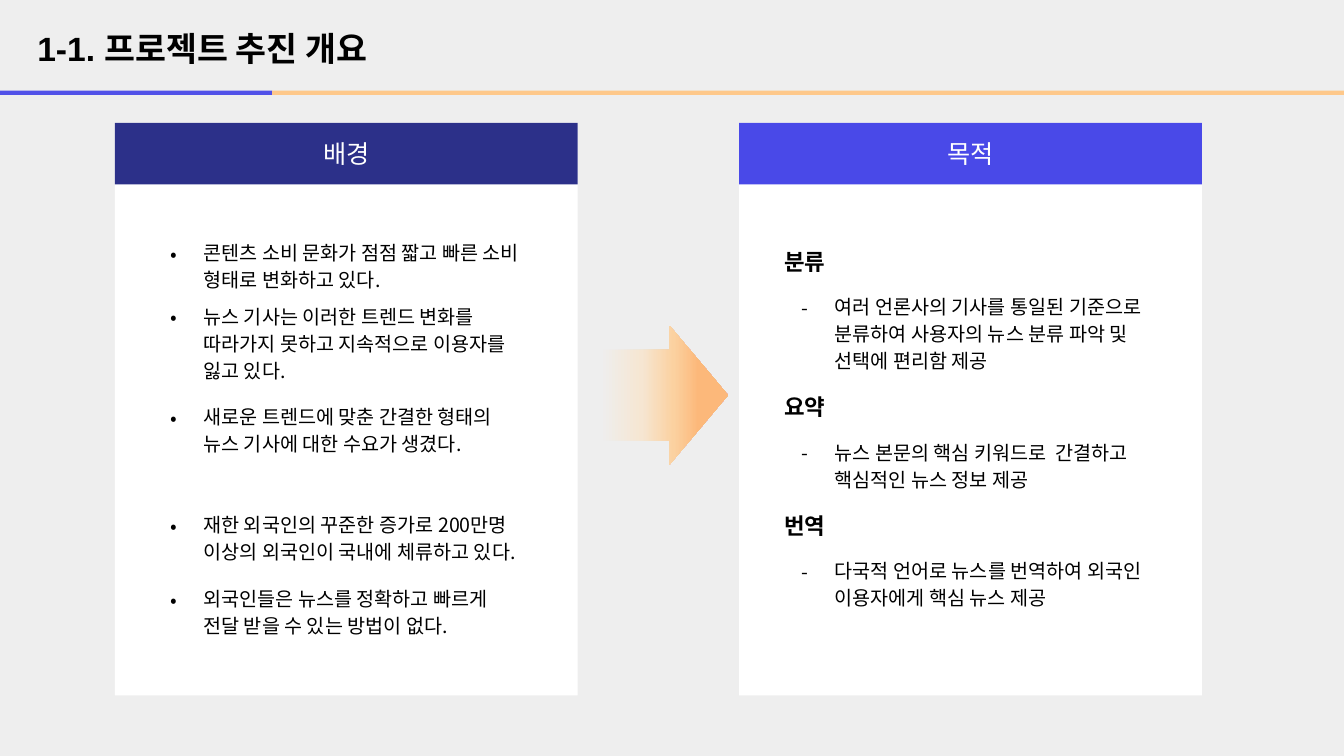
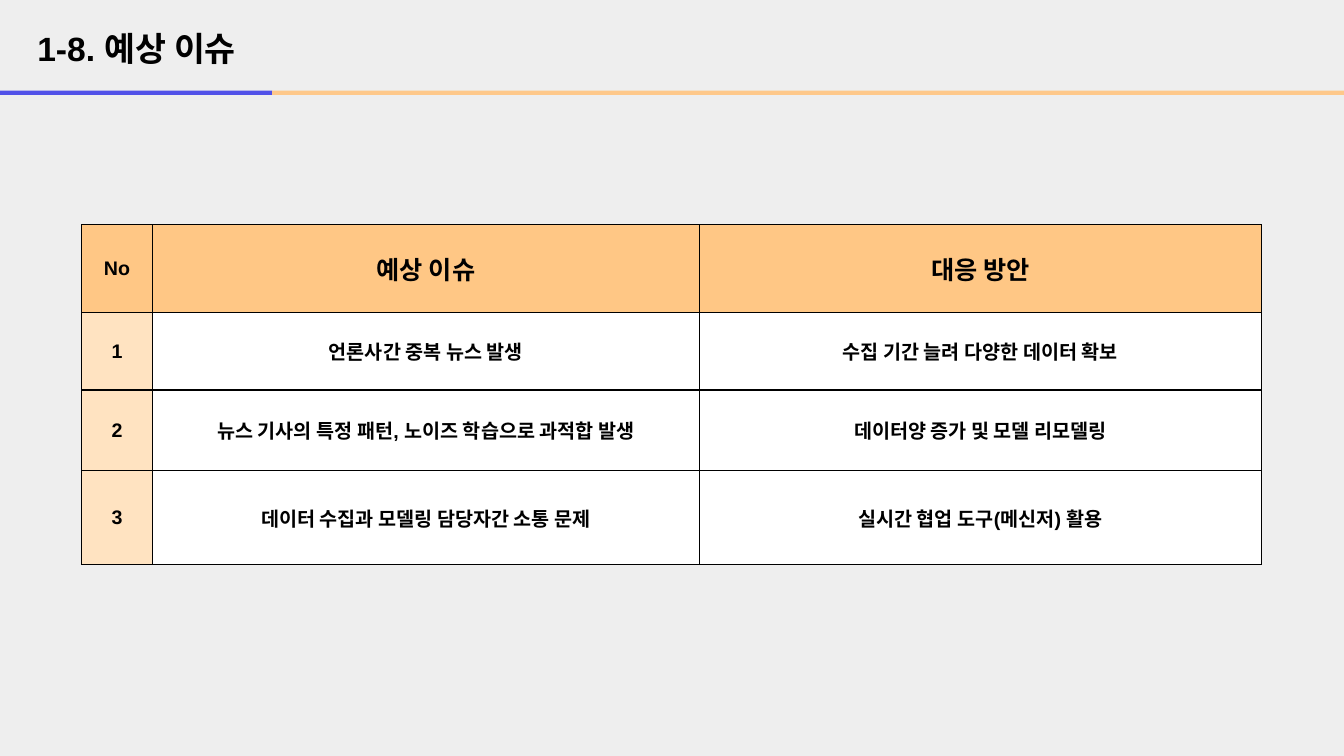
"""Build a two-slide project overview: background and goals, then expected issues."""
from lxml import etree
from pptx import Presentation
from pptx import util as u
from pptx.dml.color import RGBColor
from pptx.enum import shapes, text
from pptx.oxml.ns import qn

BLACK = RGBColor(0x00, 0x00, 0x00)
WHITE = RGBColor(0xFF, 0xFF, 0xFF)
GREY = RGBColor(0xEE, 0xEE, 0xEE)
NAVY = RGBColor(0x2C, 0x30, 0x89)
BLUE = RGBColor(0x49, 0x49, 0xE8)
ORANGE = RGBColor(0xFF, 0xC7, 0x85)
PEACH = RGBColor(0xFF, 0xE3, 0xC1)
SAND = RGBColor(0xF6, 0xE6, 0xD2)
APRICOT = RGBColor(0xFB, 0xD1, 0xA0)
CORAL = RGBColor(0xFC, 0xB8, 0x7A)
ARROW_STOPS = [(0, GREY), (8, GREY), (38, SAND), (61, APRICOT), (79, CORAL), (100, CORAL)]

LATIN = "Arial"
KOREAN = "Noto Sans CJK KR"
WIDTH, HEIGHT = 13.33, 7.5
RULE_TOP, RULE_SPLIT = 0.92, 2.7
CARD_TOP, CARD_WIDTH, CARD_HEIGHT, HEADER_HEIGHT = 1.22, 4.59, 5.68, 0.61

BACKGROUND = [
    ("콘텐츠 소비 문화가 점점 짧고 빠른 소비 형태로 변화하고 있다.", 0),
    ("뉴스 기사는 이러한 트렌드 변화를 따라가지 못하고 지속적으로 이용자를 잃고 있다.", 6.5),
    ("새로운 트렌드에 맞춘 간결한 형태의 뉴스 기사에 대한 수요가 생겼다.", 14),
    ("재한 외국인의 꾸준한 증가로 200만명 이상의 외국인이 국내에 체류하고 있다.", 38.5),
    ("외국인들은 뉴스를 정확하고 빠르게 전달 받을 수 있는 방법이 없다.", 14),
]
GOALS = [
    ("분류", "여러 언론사의 기사를 통일된 기준으로 분류하여 사용자의 뉴스 분류 파악 및 선택에 편리함 제공"),
    ("요약", "뉴스 본문의 핵심 키워드로  간결하고 핵심적인 뉴스 정보 제공"),
    ("번역", "다국적 언어로 뉴스를 번역하여 외국인 이용자에게 핵심 뉴스 제공"),
]
ISSUES = [
    ("No", "예상 이슈", "대응 방안"),
    ("1", "언론사간 중복 뉴스 발생", "수집 기간 늘려 다양한 데이터 확보"),
    ("2", "뉴스 기사의 특정 패턴, 노이즈 학습으로 과적합 발생", "데이터양 증가 및 모델 리모델링"),
    ("3", "데이터 수집과 모델링 담당자간 소통 문제", "실시간 협업 도구(메신저) 활용"),
]
ISSUE_COLUMNS = [0.7, 5.43, 5.57]
ISSUE_ROWS = [0.87, 0.77, 0.8, 0.93]


def inches(*lengths):
    """Turn plain numbers into lengths."""
    return [u.Inches(length) for length in lengths]


def child(parent, tag, **attributes):
    """Append an XML element with the given attributes."""
    element = etree.SubElement(parent, qn(tag))
    for name, value in attributes.items():
        element.set(name, str(value))
    return element


def write(para, wording, size=14, font=KOREAN, bold=False, color=BLACK,
          align=text.PP_ALIGN.LEFT, before=0, spacing=None, bullet=None):
    """Put formatted wording into a paragraph."""
    para.alignment = align
    para.line_spacing = spacing
    if before:
        para.space_before = u.Pt(before)
    if bullet:
        properties = para._p.get_or_add_pPr()
        properties.set("marL", str(u.Inches(0.5)))
        properties.set("indent", str(u.Inches(-0.33)))
        child(properties, "a:buFont", typeface=KOREAN)
        child(properties, "a:buChar", char=bullet)
    span = para.add_run()
    span.text = wording
    span.font.size = u.Pt(size)
    span.font.bold = bold
    span.font.name = font
    span.font.color.rgb = color
    child(span._r.get_or_add_rPr(), "a:ea", typeface=KOREAN)


def add_list(slide, left, top, width, height, items):
    """Add a text box with one paragraph per (wording, format) item."""
    frame = slide.shapes.add_textbox(*inches(left, top, width, height)).text_frame
    frame.word_wrap = True
    for index, (wording, style) in enumerate(items):
        para = frame.add_paragraph() if index else frame.paragraphs[0]
        write(para, wording, spacing=1.15, **style)


def add_block(slide, left, top, width, height, fill, kind=shapes.MSO_SHAPE.RECTANGLE):
    """Add a flat shape without outline."""
    block = slide.shapes.add_shape(kind, *inches(left, top, width, height))
    block.shadow.inherit = False
    block.fill.solid()
    block.fill.fore_color.rgb = fill
    block.line.fill.background()
    return block


def add_card(slide, left, heading, color):
    """Add a white card with a coloured heading band."""
    add_block(slide, left, CARD_TOP, CARD_WIDTH, CARD_HEIGHT, WHITE)
    band = add_block(slide, left, CARD_TOP, CARD_WIDTH, HEADER_HEIGHT, color)
    band.text_frame.vertical_anchor = text.MSO_ANCHOR.MIDDLE
    write(band.text_frame.paragraphs[0], heading, size=18, color=WHITE,
          align=text.PP_ALIGN.CENTER)


def add_fading_arrow(slide, left, top, size):
    """Add a right arrow that fades in from the background."""
    arrow = add_block(slide, left, top, size, size, CORAL, shapes.MSO_SHAPE.RIGHT_ARROW)
    arrow.adjustments[0] = 0.65
    arrow.adjustments[1] = 0.42
    arrow.fill.gradient()
    arrow.fill.gradient_angle = 0
    stops = arrow._element.spPr.find(".//" + qn("a:gsLst"))
    for stop in list(stops):
        stops.remove(stop)
    for percent, color in ARROW_STOPS:
        stop = child(stops, "a:gs", pos=percent * 1000)
        child(stop, "a:srgbClr", val=color)


def add_rule(slide, start, end, color):
    """Add one part of the horizontal rule below the title."""
    rule = slide.shapes.add_connector(
        shapes.MSO_CONNECTOR.STRAIGHT, *inches(start, RULE_TOP, end, RULE_TOP))
    rule.line.color.rgb = color
    rule.line.width = u.Pt(3)
    properties = rule._element.spPr
    child(properties.find(".//" + qn("a:srgbClr")), "a:alpha", val=95000)
    child(properties, "a:effectLst")


def add_page(deck, heading):
    """Add a slide with the shared title and two-colour rule."""
    slide = deck.slides.add_slide(deck.slide_layouts[5])
    title = slide.shapes.title
    title.left, title.top, title.width, title.height = inches(0.27, 0.23, 12, 0.5)
    title.text_frame.vertical_anchor = text.MSO_ANCHOR.MIDDLE
    write(title.text_frame.paragraphs[0], heading, size=24, font=LATIN, bold=True)
    add_rule(slide, 0, RULE_SPLIT, BLUE)
    add_rule(slide, RULE_SPLIT, WIDTH, ORANGE)
    return slide


def style_cell(cell, fill):
    """Give a table cell its fill, anchor and thin black borders."""
    cell.vertical_anchor = text.MSO_ANCHOR.MIDDLE
    properties = cell._tc.get_or_add_tcPr()
    for side in ("a:lnL", "a:lnR", "a:lnT", "a:lnB"):
        border = child(properties, side, w=u.Pt(1))
        child(child(border, "a:solidFill"), "a:srgbClr", val=BLACK)
    cell.fill.solid()
    cell.fill.fore_color.rgb = fill


def add_issue_table(slide, left, top):
    """Add the table of issues and responses."""
    frame = slide.shapes.add_table(
        len(ISSUE_ROWS), len(ISSUE_COLUMNS),
        *inches(left, top, sum(ISSUE_COLUMNS), sum(ISSUE_ROWS)))
    table = frame.table
    table.first_row = table.horz_banding = False
    for column, width in zip(table.columns, ISSUE_COLUMNS):
        column.width = u.Inches(width)
    for row, height in zip(table.rows, ISSUE_ROWS):
        row.height = u.Inches(height)
    for row_index, issue in enumerate(ISSUES):
        for column_index, wording in enumerate(issue):
            cell = table.cell(row_index, column_index)
            is_header = row_index == 0
            is_number = column_index == 0
            style_cell(cell, ORANGE if is_header else PEACH if is_number else WHITE)
            write(cell.text_frame.paragraphs[0], wording, bold=True, font=LATIN,
                  size=18 if is_header and not is_number else 14,
                  align=text.PP_ALIGN.CENTER)


def add_overview(deck):
    """Add the slide on background and goals."""
    slide = add_page(deck, "1-1. 프로젝트 추진 개요")
    add_card(slide, 1.14, "배경", NAVY)
    add_card(slide, 7.33, "목적", BLUE)
    add_fading_arrow(slide, 5.84, 3.23, 1.38)
    add_list(slide, 1.42, 2.31, 3.87, 4.11,
             [(wording, {"bullet": "•", "before": gap}) for wording, gap in BACKGROUND])
    goals = []
    for index, (heading, detail) in enumerate(GOALS):
        goals.append((heading, {"size": 16, "font": LATIN, "bold": True,
                                "before": 12 if index else 0}))
        goals.append((detail, {"bullet": "-", "before": 12}))
    add_list(slide, 7.68, 2.37, 3.88, 3.73, goals)


def add_issues(deck):
    """Add the slide on expected issues."""
    slide = add_page(deck, "1-8. 예상 이슈")
    add_issue_table(slide, 0.81, 2.23)


def main():
    """Build and save the deck."""
    deck = Presentation()
    deck.slide_width, deck.slide_height = inches(WIDTH, HEIGHT)
    background = deck.slide_master.background.fill
    background.solid()
    background.fore_color.rgb = GREY
    add_overview(deck)
    add_issues(deck)
    deck.save("out.pptx")


if __name__ == "__main__":
    main()
